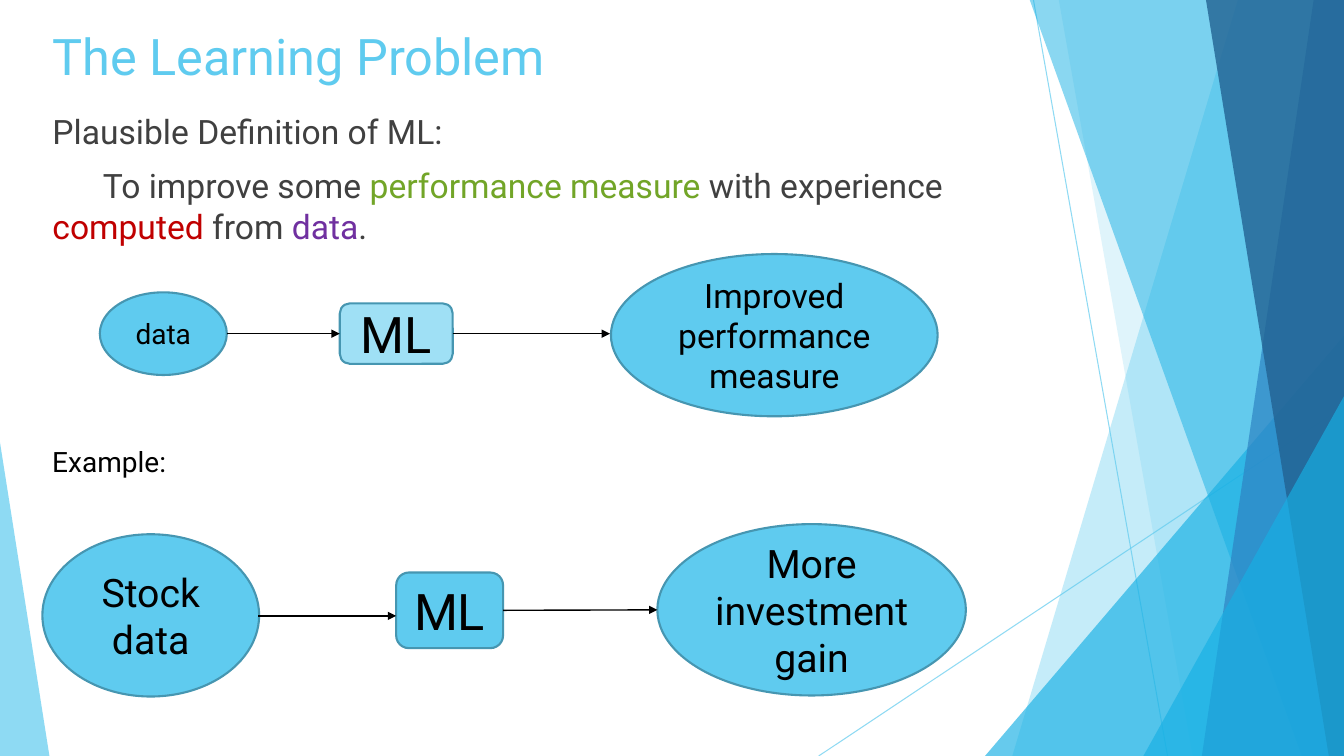
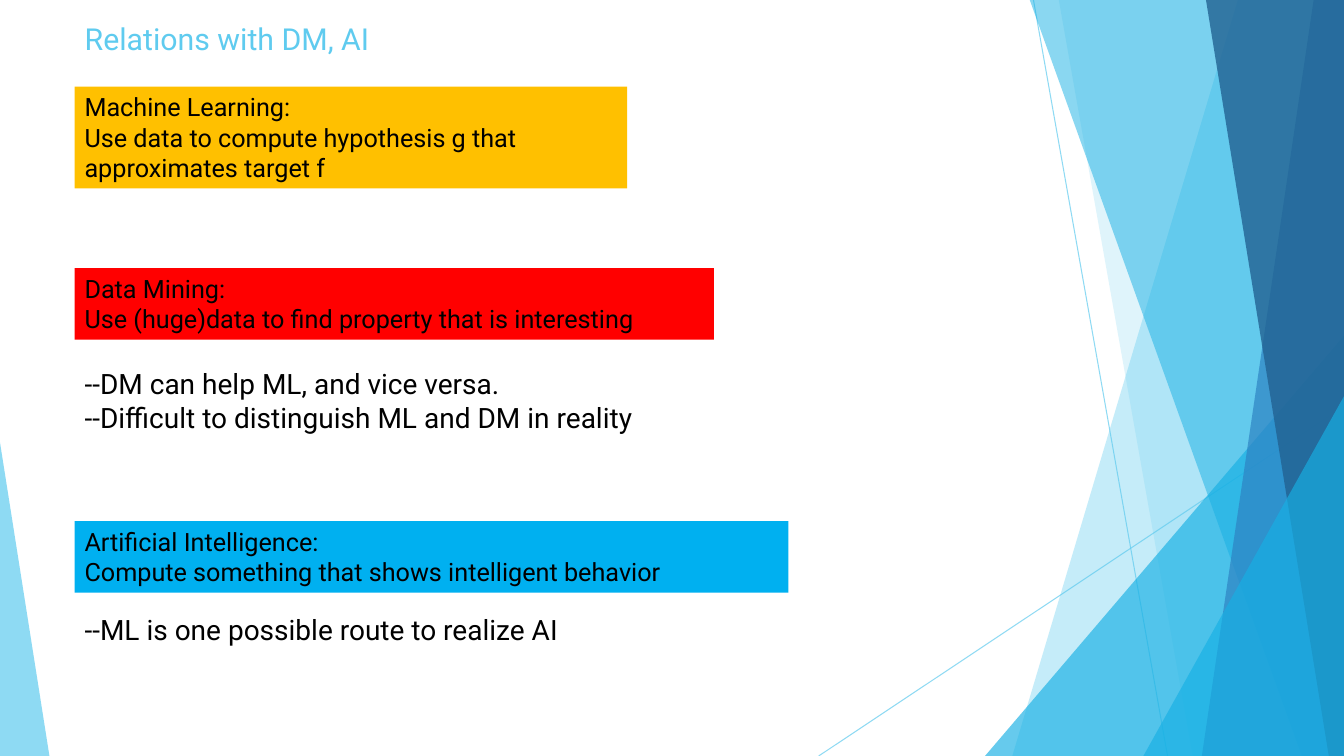
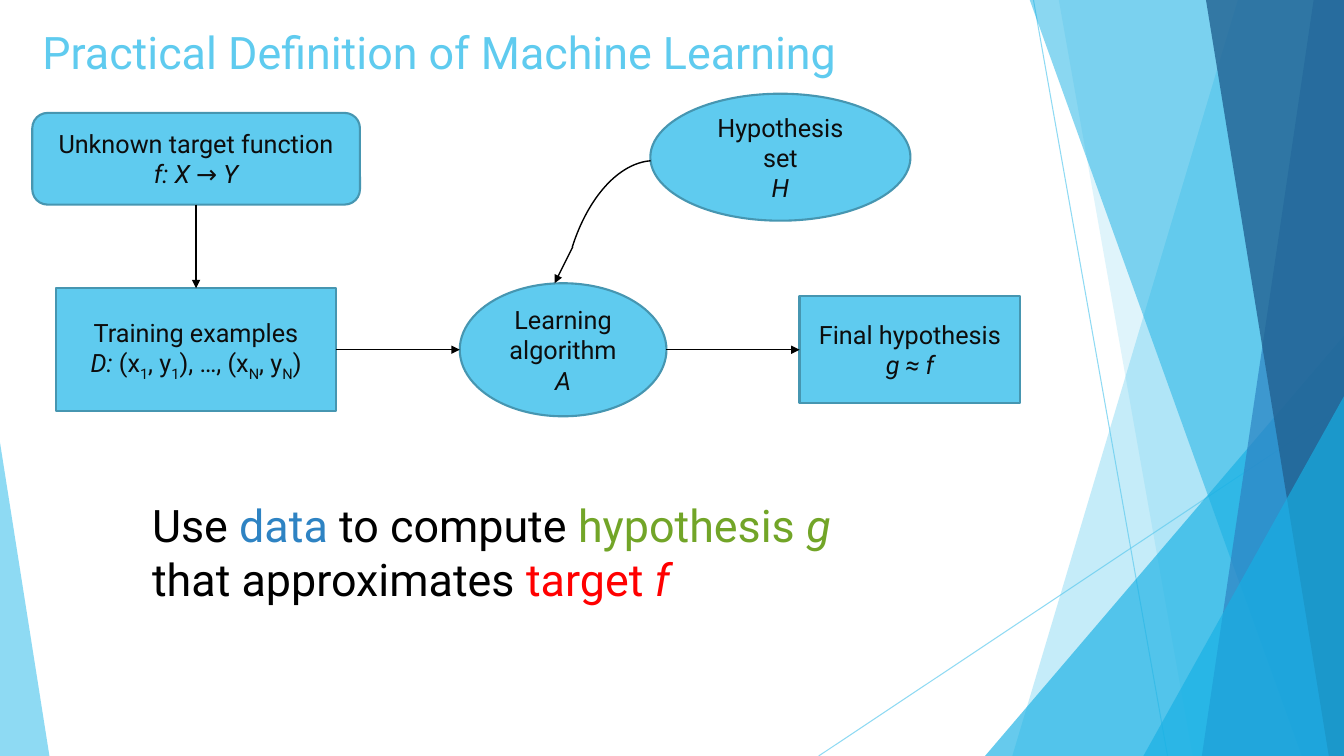
from lxml import etree
from pptx import Presentation
from pptx.dml.color import RGBColor
from pptx.enum import shapes, text
from pptx.oxml.ns import qn
from pptx.util import Inches, Pt

FONT = "Roboto"
SKY, CYAN, BLUE, NAVY = "5FCBEF", "17B0E4", "2E83C3", "226292"
PALE, EDGE = "9FE0F5", "4696B1"
BLACK, INK, GREY = "000000", "0D0D0D", "404040"
GREEN, CRIMSON, PURPLE, RED = "72A528", "C00000", "7030A0", "FF0000"
WIDTH, HEIGHT = 13.33, 7.5
LEFT, CENTER = text.PP_ALIGN.LEFT, text.PP_ALIGN.CENTER
RECT = shapes.MSO_SHAPE.RECTANGLE
ROUND = shapes.MSO_SHAPE.ROUNDED_RECTANGLE
OVAL = shapes.MSO_SHAPE.OVAL
STRAIGHT = shapes.MSO_CONNECTOR.STRAIGHT
rgb = RGBColor.from_string


def write(tf, paragraphs, size, color, align=LEFT):
    """Fill a text frame; a run is (text, colour or None, "i" italic or "sub" subscript)."""
    tf.word_wrap = True
    for i, runs in enumerate(paragraphs):
        p = tf.paragraphs[0] if i == 0 else tf.add_paragraph()
        p.alignment = align
        for run in [(runs,)] if isinstance(runs, str) else runs:
            words, tint, style = (*run, None, None)[:3]
            r = p.add_run()
            r.text = words
            r.font.name, r.font.size = FONT, Pt(size)
            r.font.color.rgb = rgb(tint or color)
            if style == "i":
                r.font.italic = True
            elif style == "sub":
                r.font._element.set("baseline", "-25000")


def add_line(s, x1, y1, x2, y2, color, width):
    line = s.shapes.add_connector(STRAIGHT, *map(Inches, (x1, y1, x2, y2)))
    line.line.color.rgb = rgb(color)
    line.line.width = Pt(width)
    etree.SubElement(line.element.spPr, qn("a:effectLst"))
    return line


prs = Presentation()
prs.slide_width, prs.slide_height = Inches(WIDTH), Inches(HEIGHT)

# Slides and titles: layout index, title, box, size
titles = [
    (1, "The Learning Problem", (0.42, 0.2, 9.18, 0.83), 36),
    (5, "Relations with DM, AI", (0.74, 0.15, 3.37, 0.49), 21.6),
    (5, "Practical Definition of Machine Learning", (0.32, 0.19, 8.3, 0.74), 32),
]
for layout, title, box, size in titles:
    s = prs.slides.add_slide(prs.slide_layouts[layout])
    sp = s.shapes.title
    sp.left, sp.top, sp.width, sp.height = map(Inches, box)
    sp.text_frame.vertical_anchor = text.MSO_ANCHOR.TOP
    sp.text_frame.auto_size = text.MSO_AUTO_SIZE.NONE
    write(sp.text_frame, [title], size, SKY)
problem, relations, practical = prs.slides

# Decoration for the master, drawn on a slide and then moved behind its placeholders.
# Slanted bands run to the right edge: colour, opacity, top x, bottom x
# Triangles run to the bottom edge: colour, opacity, left, top, width, apex
bands = [
    (SKY, 36, 12.28, 10.04),
    (SKY, 20, 10.5, 11.83),
    (CYAN, 66, 9.77, 3.33, 3.56, 1),
    (CYAN, 50, 10.21, 12.91),
    (BLUE, 70, 13.03, 11.92),
    (NAVY, 80, 11.96, 13.18),
    (CYAN, 66, 11.34, 3.93, 1.99, 1),
    (SKY, 70, 0, 4.39, 0.49, 0),
]
decoration = [
    (add_line(problem, 10.25, 0, 11.58, HEIGHT, SKY, 0.75), 70),
    (add_line(problem, WIDTH, 4.03, 8.12, HEIGHT, SKY, 0.75), 70),
]
for color, opacity, *geometry in bands:
    if len(geometry) == 2:
        top_x, bottom_x = geometry
        outline = problem.shapes.build_freeform(Inches(top_x), Inches(-0.01))
        corners = [(WIDTH, -0.01), (WIDTH, HEIGHT), (bottom_x, HEIGHT)]
        outline.add_line_segments([(Inches(x), Inches(y)) for x, y in corners])
        sp = outline.convert_to_shape()
    else:
        left, top, width, apex = geometry
        sp = problem.shapes.add_shape(
            shapes.MSO_SHAPE.ISOSCELES_TRIANGLE,
            *map(Inches, (left, top, width, HEIGHT - top)))
        sp.adjustments[0] = apex
    sp.shadow.inherit = False
    sp.fill.solid()
    sp.fill.fore_color.rgb = rgb(color)
    sp.line.fill.background()
    decoration.append((sp, opacity))

master_tree = prs.slide_master.shapes.element
for i, (sp, opacity) in enumerate(decoration):
    for clr in sp.element.iter(qn("a:srgbClr")):
        etree.SubElement(clr, qn("a:alpha"), val=str(opacity * 1000))
    sp.element.xpath(".//p:cNvPr")[0].set("id", str(100 + i))
    master_tree.insert(2 + i, sp.element)

# Definition on the first slide
body = problem.placeholders[1]
body.left, body.top, body.width, body.height = map(Inches, (0.42, 1.05, 9.82, 3.42))
body.text_frame.auto_size = text.MSO_AUTO_SIZE.NONE
write(body.text_frame, [
    "Plausible Definition of ML:",
    [("To improve some ",), ("performance measure", GREEN), (" with experience ",),
     ("computed", CRIMSON), (" from ",), ("data", PURPLE), (".",)],
], 24, GREY)
for p, indent in zip(body.text_frame.paragraphs, (0, 0.5)):
    p.space_before = Pt(10)
    pPr = p._p.get_or_add_pPr()
    pPr.set("marL", "0")
    pPr.set("indent", str(Inches(indent)))
    etree.SubElement(pPr, qn("a:buNone"))

# Text boxes: slide, box, fill, size, paragraphs
notes = [
    (problem, (0.42, 4.36, 9.53, 0.44), None, 20, ["Example:"]),
    (relations, (0.74, 0.86, 5.48, 1.01), "FFC000", 18,
     ["Machine Learning:", "Use data to compute hypothesis g that approximates target f"]),
    (relations, (0.74, 2.66, 6.34, 0.71), RED, 18,
     ["Data Mining:", "Use (huge)data to find property that is interesting"]),
    (relations, (0.74, 3.59, 7.41, 0.77), None, 20,
     ["--DM can help ML, and vice versa.",
      "--Difficult to distinguish ML and DM in reality"]),
    (relations, (0.74, 5.17, 7.08, 0.71), "00B0F0", 18,
     ["Artificial Intelligence:", "Compute something that shows intelligent behavior"]),
    (relations, (0.74, 6.03, 6.45, 0.44), None, 20,
     ["--ML is one possible route to realize AI"]),
    (practical, (1.41, 4.89, 7.71, 1.18), None, 32,
     [[("Use ",), ("data", BLUE), (" to compute ",), ("hypothesis ", GREEN),
       ("g", GREEN, "i"), (" that approximates ",), ("target ", RED), ("f", RED, "i")]]),
]
for s, box, fill, size, paragraphs in notes:
    sp = s.shapes.add_textbox(*map(Inches, box))
    if fill:
        sp.fill.solid()
        sp.fill.fore_color.rgb = rgb(fill)
    write(sp.text_frame, paragraphs, size, BLACK)

# Diagram nodes: name -> slide, preset, box, fill, size, text colour, paragraphs
examples = [("D: ", None, "i"), ("(x",), ("1", None, "sub"), (", y",), ("1", None, "sub"),
            ("), …, (x",), ("N", None, "sub"), (", y",), ("N", None, "sub"), (")",)]
nodes = {
    "ml": (problem, ROUND, (3.37, 3.01, 1.12, 0.6), PALE, 36, BLACK, ["ML"]),
    "data": (problem, OVAL, (0.99, 2.9, 1.26, 0.82), SKY, 20, BLACK, ["data"]),
    "measure": (problem, OVAL, (6.06, 2.52, 3.24, 1.61), SKY, 24, BLACK,
                ["Improved performance measure"]),
    "stock": (problem, OVAL, (0.42, 5.3, 2.15, 1.61), SKY, 28, BLACK, ["Stock data"]),
    "stock ml": (problem, ROUND, (3.93, 5.68, 1.06, 0.75), SKY, 36, BLACK, ["ML"]),
    "gain": (problem, OVAL, (6.52, 5.2, 3.06, 1.7), SKY, 28, BLACK,
             ["More investment gain"]),
    "target": (practical, ROUND, (0.32, 1.12, 3.25, 0.91), SKY, 18, INK,
               ["Unknown target function", [("f: X → Y", None, "i")]]),
    "training": (practical, RECT, (0.56, 2.86, 2.77, 1.22), SKY, 18, INK,
                 ["Training examples", examples]),
    "algorithm": (practical, OVAL, (4.56, 2.81, 2.05, 1.32), SKY, 18, INK,
                  ["Learning algorithm", [("A", None, "i")]]),
    "final": (practical, RECT, (7.93, 2.94, 2.19, 1.06), SKY, 18, INK,
              ["Final hypothesis", [("g ≈ f", None, "i")]]),
    "hypotheses": (practical, OVAL, (6.45, 0.93, 2.58, 1.26), SKY, 18, INK,
                   ["Hypothesis set", [("H", None, "i")]]),
}
drawn = {}
for name, (s, preset, box, fill, size, color, paragraphs) in nodes.items():
    sp = drawn[name] = s.shapes.add_shape(preset, *map(Inches, box))
    sp.shadow.inherit = False
    sp.fill.solid()
    sp.fill.fore_color.rgb = rgb(fill)
    sp.line.color.rgb = rgb(EDGE)
    sp.line.width = Pt(1.5)
    sp.text_frame.vertical_anchor = text.MSO_ANCHOR.MIDDLE
    write(sp.text_frame, paragraphs, size, color, CENTER)

# Curve from the hypothesis set to the arrow that enters the algorithm
curve = practical.shapes.add_shape(
    shapes.MSO_SHAPE.ARC, *map(Inches, (5.02, 2.15, 2.69, 1.56)))
curve.rotation = 278
for i, degrees in enumerate((296.8, 355.8)):
    curve.adjustments[i] = degrees * 0.6  # 60000 units a degree, scaled by 100000
curve.shadow.inherit = False
curve.fill.background()
curve.line.color.rgb = rgb(BLACK)
curve.line.width = Pt(1)

# Arrows: slide, ends, joined start and end as (node, side)
arrows = [
    (problem, (4.49, 3.31, 6.05, 3.31), ("ml", 3), None),
    (problem, (2.25, 3.31, 3.37, 3.31), None, ("ml", 1)),
    (problem, (2.56, 6.11, 3.93, 6.11), None, None),
    (problem, (4.98, 6.06, 6.52, 6.05), ("stock ml", 3), None),
    (practical, (1.94, 2.03, 1.94, 2.86), ("target", 2), ("training", 0)),
    (practical, (3.32, 3.47, 4.56, 3.47), ("training", 3), None),
    (practical, (6.61, 3.47, 7.93, 3.47), None, ("final", 1)),
    (practical, (5.68, 2.45, 5.5, 2.81), None, None),
]
for s, ends, start, finish in arrows:
    arrow = add_line(s, *ends, BLACK, 1)
    etree.SubElement(arrow.line._get_or_add_ln(), qn("a:tailEnd"), type="triangle")
    if start:
        arrow.begin_connect(drawn[start[0]], start[1])
    if finish:
        arrow.end_connect(drawn[finish[0]], finish[1])

prs.save("out.pptx")
